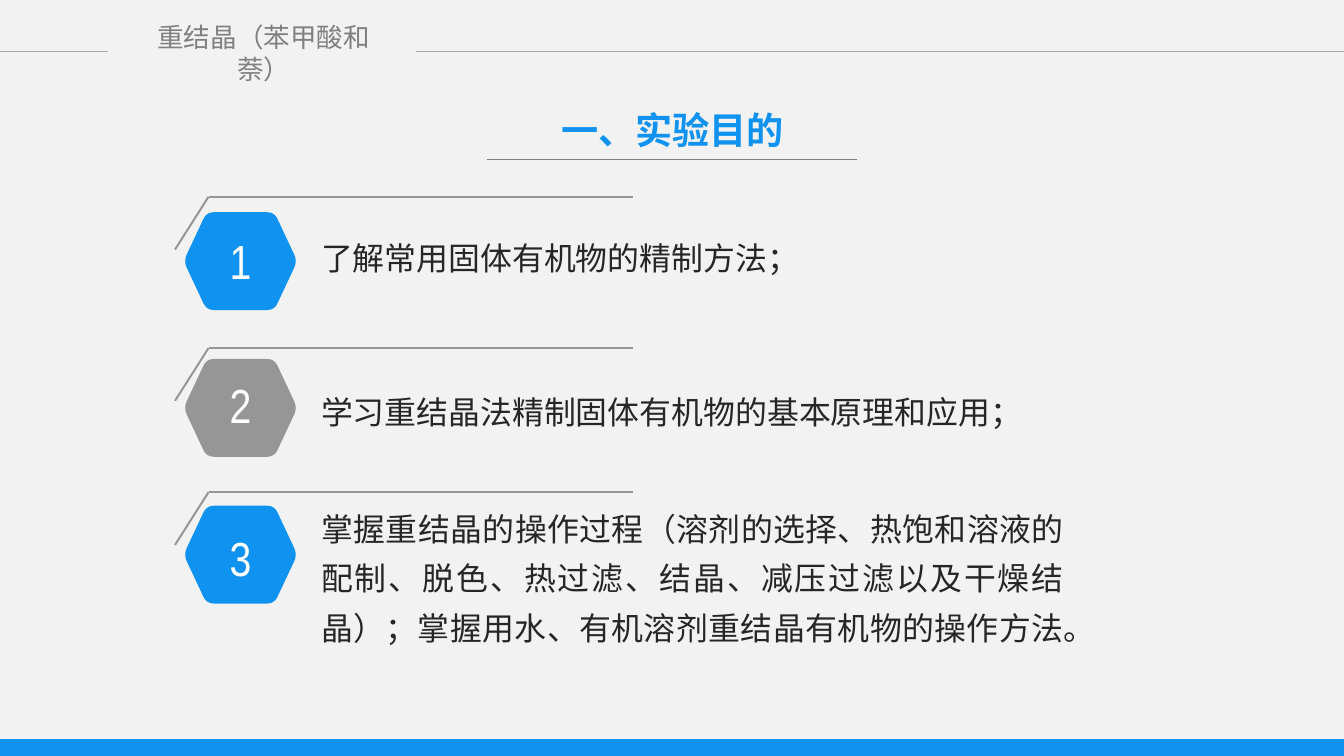
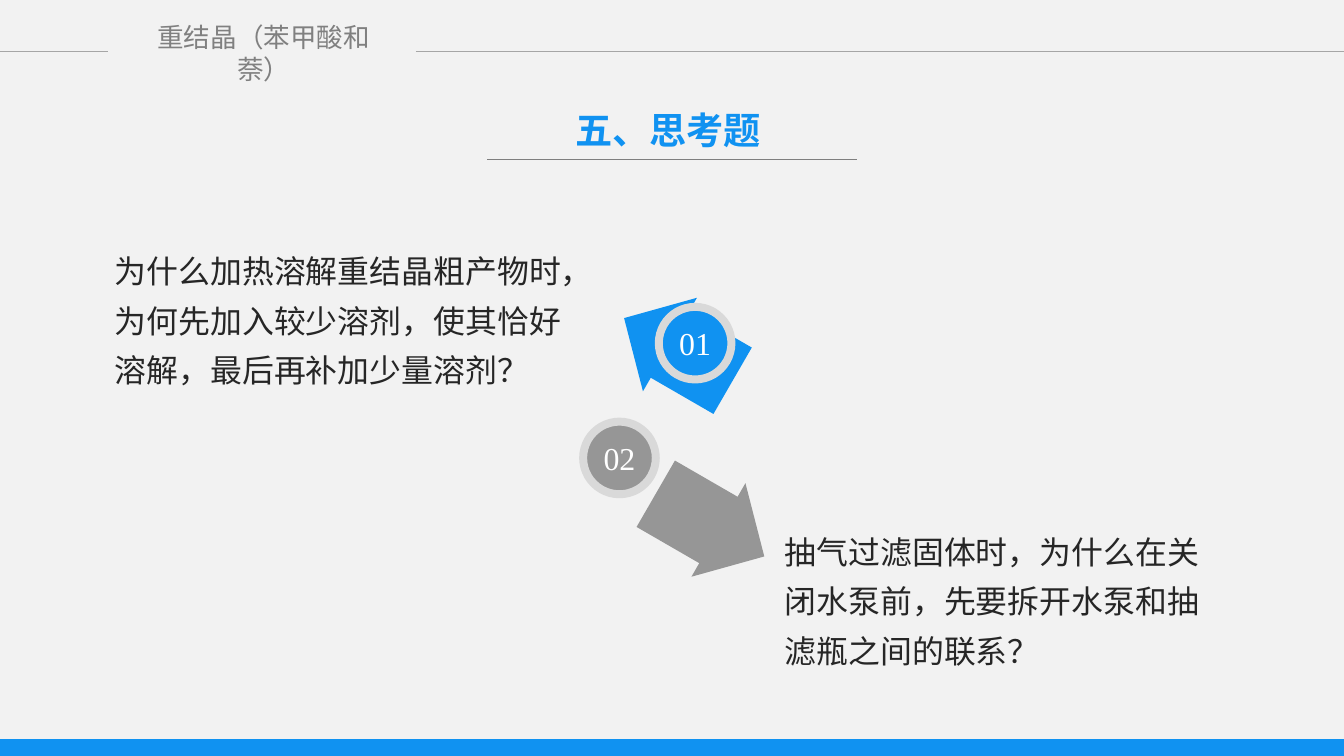
from pptx import Presentation
from pptx.dml.color import RGBColor
from pptx.enum.shapes import MSO_CONNECTOR, MSO_SHAPE
from pptx.enum.text import MSO_ANCHOR, PP_ALIGN
from pptx.oxml.ns import qn
from pptx.util import Cm, Pt
from lxml import etree
import math

LEFT, CENTER, JUSTIFY = PP_ALIGN.LEFT, PP_ALIGN.CENTER, PP_ALIGN.JUSTIFY
TOP, MIDDLE = MSO_ANCHOR.TOP, MSO_ANCHOR.MIDDLE
RECT, OVAL, ARROW = MSO_SHAPE.RECTANGLE, MSO_SHAPE.OVAL, MSO_SHAPE.RIGHT_ARROW
STRAIGHT = MSO_CONNECTOR.STRAIGHT

COLORS = {
    "back": "F2F2F2", "blue": "1092F1", "gray": "969696", "rule": "A6A6A6",
    "underline": "7F7F7F", "header": "808080", "ring": "D9D9D9",
    "text": "262626", "white": "FFFFFF",
}
WIDTH, HEIGHT = 35.71, 20.09
HEADER = "重结晶（苯甲酸和萘）"
SERIF, SANS, NARROW = "Times New Roman", "Arial", "Arial Narrow"


def rgb(name):
    return RGBColor.from_string(COLORS[name])


class Deck:
    def __init__(self):
        self.prs = Presentation()
        self.prs.slide_width, self.prs.slide_height = Cm(WIDTH), Cm(HEIGHT)
        self.s = None

    def slide(self, title):
        self.s = self.prs.slides.add_slide(self.prs.slide_layouts[6])
        fill = self.s.background.fill
        fill.solid()
        fill.fore_color.rgb = rgb("back")
        self.shape(RECT, 0, 19.64, WIDTH, 0.45, "blue")
        self.text(HEADER, 3.66, 0.97, 6.7, 0.86, 20, "header", SANS, CENTER, MIDDLE)
        self.line(0, 1.37, 2.87, 1.37, "rule", 1)
        self.line(11.05, 1.37, WIDTH, 1.37, "rule", 1)
        self.text(title, 14.07, 2.84, 7.6, 1.2, 28, "blue", align=CENTER, bold=True)
        self.line(12.95, 4.24, 22.76, 4.24, "underline", 1)

    def paint(self, sp, color):
        sp.shadow.inherit = False
        sp.fill.solid()
        sp.fill.fore_color.rgb = rgb(color)
        sp.line.fill.background()
        return sp

    def shape(self, kind, x, y, w, h, color):
        return self.paint(self.s.shapes.add_shape(kind, Cm(x), Cm(y), Cm(w), Cm(h)), color)

    def line(self, x1, y1, x2, y2, color, width):
        c = self.s.shapes.add_connector(STRAIGHT, Cm(x1), Cm(y1), Cm(x2), Cm(y2))
        c.line.color.rgb = rgb(color)
        c.line.width = Pt(width)
        etree.SubElement(c._element.spPr, qn("a:effectLst"))

    def set_text(self, sp, text, size, color, font, align, anchor, bold=False, spacing=None):
        tf = sp.text_frame
        tf.text = text
        tf.word_wrap = True
        tf.vertical_anchor = anchor
        tf.margin_left = tf.margin_right = tf.margin_top = tf.margin_bottom = 0
        p = tf.paragraphs[0]
        p.alignment = align
        if spacing:
            p.line_spacing = spacing
        r = p.runs[0]
        r.font.name, r.font.size, r.font.bold = font, Pt(size), bold
        r.font.color.rgb = rgb(color)

    def text(self, text, x, y, w, h, size, color, font=SERIF, align=LEFT,
             anchor=TOP, bold=False, spacing=None):
        sp = self.s.shapes.add_textbox(Cm(x), Cm(y), Cm(w), Cm(h))
        self.set_text(sp, text, size, color, font, align, anchor, bold, spacing)

    def body(self, text, x, y, w, h, align=LEFT):
        self.text(text, x, y, w, h, 24, "text", align=align, spacing=1.3)

    def hexagon(self, cx, cy, color):
        corners = [(-0.9, -1.3), (0.9, -1.3), (1.51, 0), (0.9, 1.3), (-0.9, 1.3), (-1.51, 0)]
        cut, steps, points = 0.2, 6, []
        for i, (x, y) in enumerate(corners):
            ends = []
            for nx, ny in (corners[i - 1], corners[(i + 1) % 6]):
                k = cut / math.hypot(nx - x, ny - y)
                ends.append((x + k * (nx - x), y + k * (ny - y)))
            (ax, ay), (bx, by) = ends
            for t in (j / steps for j in range(steps + 1)):
                a, v, b = (1 - t) ** 2, 2 * t * (1 - t), t * t
                points.append((Cm(cx + a * ax + v * x + b * bx),
                               Cm(cy + a * ay + v * y + b * by)))
        fb = self.s.shapes.build_freeform(*points[0])
        fb.add_line_segments(points[1:], close=True)
        self.paint(fb.convert_to_shape(), color)

    def bracket(self, y):
        self.line(4.65, y + 1.4, 5.54, y, "gray", 1.5)
        self.line(5.54, y, 16.81, y, "gray", 1.5)

    def arrow(self, x, y, angle, color):
        sp = self.shape(ARROW, x, y, 3.33, 2.87, color)
        sp.adjustments[0], sp.adjustments[1] = 0.71, 0.49
        sp.rotation = angle

    def badge(self, text, cx, cy, color):
        d = 1.93
        sp = self.shape(OVAL, cx - d / 2, cy - d / 2, d, d, color)
        sp.line.color.rgb = rgb("ring")
        sp.line.width = Pt(6)
        self.set_text(sp, text, 24, "white", SERIF, CENTER, MIDDLE)
        sp.text_frame.word_wrap = False


def goals(deck):
    deck.slide("一、实验目的")
    rows = [
        ("blue", 6.17, 5.23, "了解常用固体有机物的精制方法；", 6.05, 13.79, 1.2, LEFT),
        ("gray", 9.98, 9.25, "学习重结晶法精制固体有机物的基本原理和应用；", 10.13, 18.42, 1.2, LEFT),
        ("blue", 14.05, 13.08, "掌握重结晶的操作过程（溶剂的选择、热饱和溶液的配制、脱色、热过滤、"
         "结晶、减压过滤以及干燥结晶）；掌握用水、有机溶剂重结晶有机物的操作方法。",
         13.23, 19.74, 4, JUSTIFY),
    ]
    for i, (color, digit_y, bracket_y, text, y, w, h, align) in enumerate(rows):
        deck.hexagon(6.39, 6.94 + 3.9 * i, color)
        deck.text(str(i + 1), 5.39, digit_y, 2, 1.55, 36, "white", NARROW, CENTER)
        deck.body(text, 8.53, y, w, h, align)
        deck.bracket(bracket_y)


def questions(deck):
    deck.slide("五、思考题 ")
    items = [
        ("blue", 16.36, 7.85, 210, 18.47, 9.12, 3.05, 6.38, 12.4,
         "为什么加热溶解重结晶粗产物时，为何先加入较少溶剂，使其恰好溶解，最后再补加少量溶剂？"),
        ("gray", 17.2, 12.52, 30, 16.46, 12.17, 20.85, 13.84, 11.4,
         "抽气过滤固体时，为什么在关闭水泵前，先要拆开水泵和抽滤瓶之间的联系？"),
    ]
    for i, (color, ax, ay, angle, cx, cy, x, y, w, text) in enumerate(items, 1):
        deck.arrow(ax, ay, angle, color)
        deck.badge(f"{i:02d}", cx, cy, color)
        deck.body(text, x, y, w, 4)


def main():
    deck = Deck()
    goals(deck)
    questions(deck)
    deck.prs.save("out.pptx")


if __name__ == "__main__":
    main()
